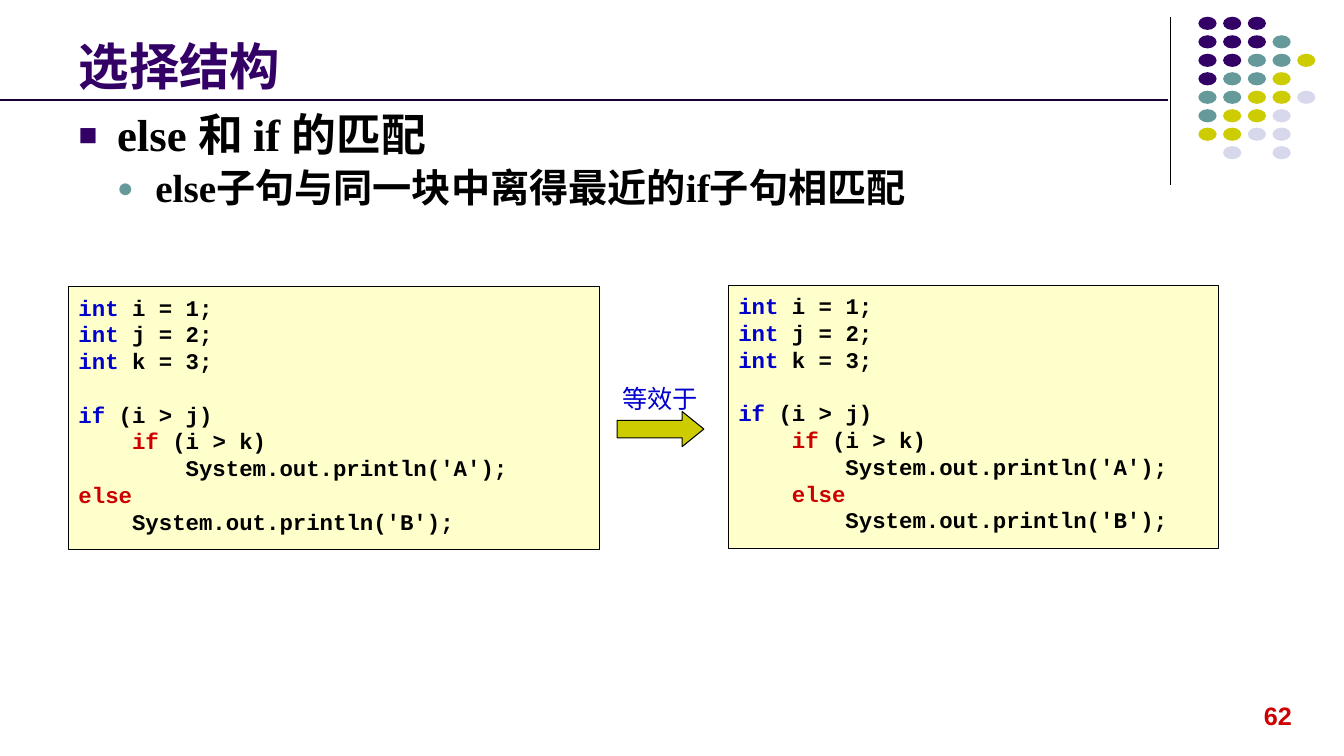
from lxml import etree
from pptx import Presentation
from pptx.dml.color import RGBColor
from pptx.enum import shapes, text
from pptx.oxml import ns
from pptx.util import Pt

PURPLE, TEAL, OLIVE, LILAC = "330066", "669999", "CCCC00", "D8D8EC"
BLACK, BLUE, RED, CREAM = "000000", "0000CC", "CC0000", "FFFFCC"
LINE_PITCH = 19.1


def colour(value):
    return RGBColor.from_string(value)


class Slide:
    def __init__(self, page):
        self.page = page

    def place(self, shape, left, top, width, height):
        shape.left, shape.top = Pt(left), Pt(top)
        shape.width, shape.height = Pt(width), Pt(height)

    def span(self, para, words, size, font, ink, bold=True):
        span = para.add_run()
        span.text = words
        span.font.size, span.font.name, span.font.bold = Pt(size), font, bold
        span.font.color.rgb = colour(ink)

    def title(self, words, bounds):
        box = self.page.shapes.title
        self.place(box, *bounds)
        frame = box.text_frame
        frame.auto_size = text.MSO_AUTO_SIZE.NONE
        frame.vertical_anchor = text.MSO_ANCHOR.BOTTOM
        para = frame.paragraphs[0]
        para.alignment = text.PP_ALIGN.LEFT
        self.span(para, words, 36, "Arial", PURPLE)

    def bullets(self, items, bounds):
        box = self.page.placeholders[1]
        self.place(box, *bounds)
        frame = box.text_frame
        frame.auto_size = text.MSO_AUTO_SIZE.NONE
        for level, (words, size, mark, ink) in enumerate(items):
            para = frame.add_paragraph() if level else frame.paragraphs[0]
            para.level = level
            self.bullet(para, mark, ink, 27.4 * (level + 1))
            para.line_spacing = 0.9
            para.space_before = Pt(0.2 * size if level else 0)
            self.span(para, words, size, "Times New Roman", BLACK)

    def bullet(self, para, mark, ink, margin):
        props = para._p.get_or_add_pPr()
        props.set("marL", str(Pt(margin)))
        props.set("indent", str(Pt(-27.4)))
        fill = etree.SubElement(props, ns.qn("a:buClr"))
        etree.SubElement(fill, ns.qn("a:srgbClr")).set("val", ink)
        for tag, key, value in (("a:buSzPct", "val", "70000"),
                                ("a:buFont", "typeface", "Arial"),
                                ("a:buChar", "char", mark)):
            etree.SubElement(props, ns.qn(tag)).set(key, value)

    def shape(self, kind, bounds, fill, outline=None):
        shape = self.page.shapes.add_shape(kind, *map(Pt, bounds))
        shape.shadow.inherit = False
        shape.fill.solid()
        shape.fill.fore_color.rgb = colour(fill)
        if outline:
            shape.line.color.rgb = colour(outline)
            shape.line.width = Pt(0.75)
        else:
            shape.line.fill.background()
        return shape

    def line(self, start, end, ink, width):
        line = self.page.shapes.add_connector(
            shapes.MSO_CONNECTOR.STRAIGHT, *map(Pt, start + end))
        line.line.color.rgb = colour(ink)
        line.line.width = Pt(width)
        etree.SubElement(line._element.spPr, ns.qn("a:effectLst"))

    def label(self, words, bounds, ink, bold):
        box = self.page.shapes.add_textbox(*map(Pt, bounds))
        box.text_frame.word_wrap = False
        self.span(box.text_frame.paragraphs[0], words, 18, "Arial", ink, bold)

    def code(self, blocks, bounds):
        """Draw a code panel; a one-line gap separates the blocks."""
        frame = self.shape(shapes.MSO_SHAPE.RECTANGLE, bounds, CREAM, BLACK).text_frame
        frame.word_wrap = False
        frame.vertical_anchor = text.MSO_ANCHOR.TOP
        frame.margin_top = Pt(5)
        para = None
        for block in blocks:
            for number, spans in enumerate(block):
                first = para is None
                para = frame.paragraphs[0] if first else frame.add_paragraph()
                para.alignment = text.PP_ALIGN.LEFT
                para.line_spacing = Pt(LINE_PITCH)
                if number == 0 and not first:
                    para.space_before = Pt(LINE_PITCH)
                for words, ink in spans:
                    self.span(para, words, 16, "Courier New", ink)

    def dots(self, rows, left, top):
        inks = {"P": PURPLE, "T": TEAL, "O": OLIVE, "L": LILAC}
        for row, marks in enumerate(rows):
            for column, mark in enumerate(marks):
                if mark in inks:
                    bounds = (left + 17.64 * column, top + 13.2 * row, 13, 9.4)
                    self.shape(shapes.MSO_SHAPE.OVAL, bounds, inks[mark])


def snippet(indent):
    """Return the code blocks with the else clause indented as given."""
    declarations = [[("int ", BLUE), (f"{name} = {value};", BLACK)]
                    for value, name in enumerate("ijk", 1)]
    branches = [
        [("if ", BLUE), ("(i > j)", BLACK)],
        [("    ", BLACK), ("if", RED), (" (i > k)", BLACK)],
        [("        System.out.println('A');", BLACK)],
        [(indent + "else", RED)],
        [(indent + "    System.out.println('B');", BLACK)],
    ]
    return [declarations, branches]


def main():
    deck = Presentation()
    deck.slide_width, deck.slide_height = Pt(960), Pt(540)
    slide = Slide(deck.slides.add_slide(deck.slide_layouts[1]))
    slide.title("选择结构", (49, 15, 792, 57))
    slide.bullets([("else 和 if 的匹配", 32, "■", PURPLE),
                   ("else子句与同一块中离得最近的if子句相匹配", 28, "●", TEAL)],
                  (49, 77, 864, 408))
    slide.line((836, 12), (836, 132), BLACK, 0.75)
    slide.line((0, 71.3), (834, 71.3), "190033", 1.5)
    slide.dots(["PPP", "PPPT", "PPTTO", "PTTO", "TTOOL", "TOOL", "OOLL", ".L.L"],
               856, 12)
    slide.code(snippet(""), (49, 205, 379.5, 187.3))
    slide.code(snippet("    "), (520.3, 204, 350, 188))
    slide.label("等效于", (437.5, 270, 68.5, 29), BLUE, False)
    arrow = slide.shape(shapes.MSO_SHAPE.RIGHT_ARROW, (440.8, 294, 62, 25), OLIVE, BLACK)
    arrow.adjustments[1] = 0.62
    slide.label("62", (895.7, 497, 36.7, 29), RED, True)
    deck.save("out.pptx")


if __name__ == "__main__":
    main()
